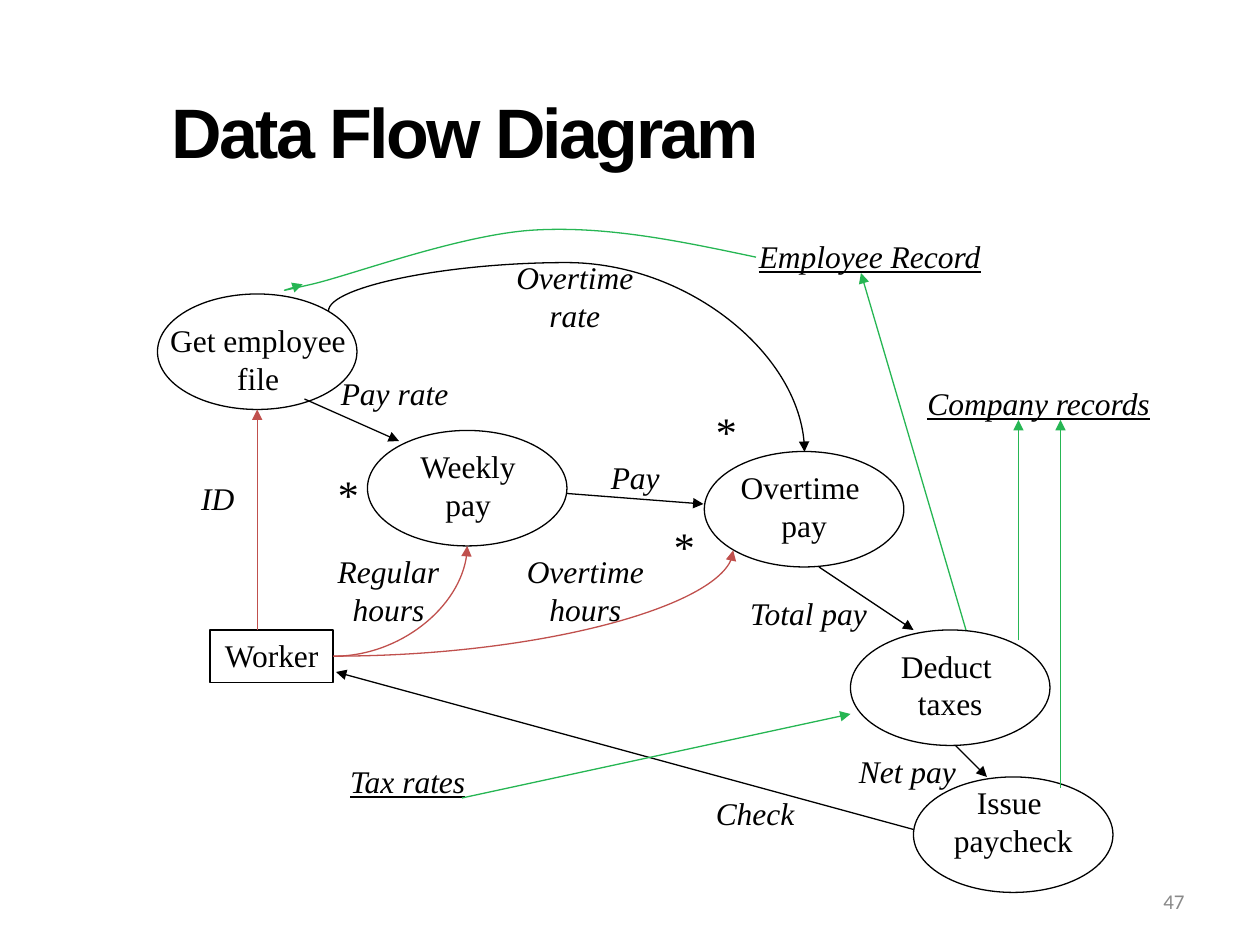
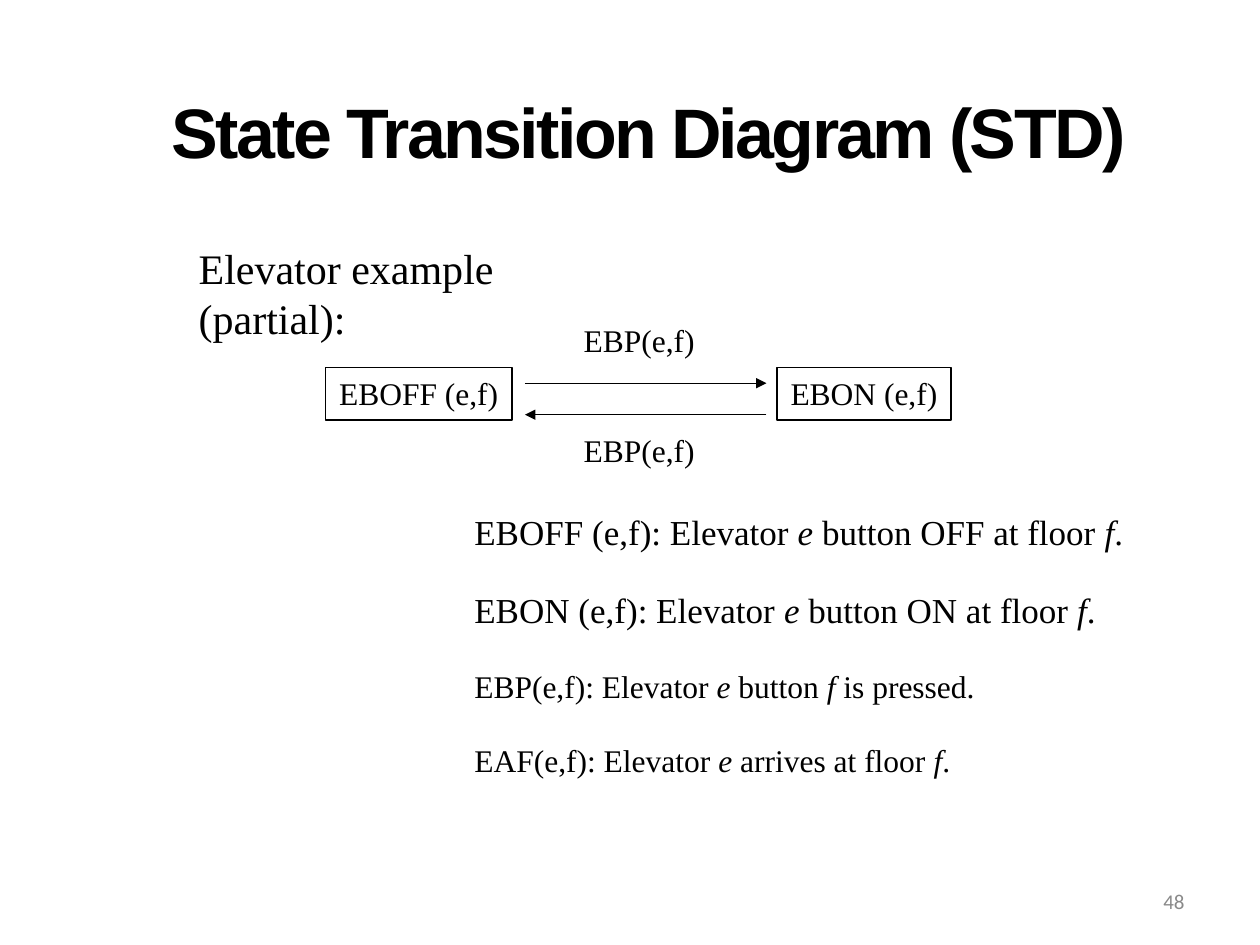
from lxml.etree import SubElement
from pptx import Presentation
from pptx.dml.color import RGBColor
from pptx.enum.shapes import MSO_CONNECTOR, MSO_SHAPE
from pptx.enum.text import MSO_ANCHOR, MSO_AUTO_SIZE, PP_ALIGN
from pptx.oxml.ns import qn
from pptx.util import Pt

BLACK, RED, GREEN, GRAY = "000000", "C0504D", "26B653", "898989"
SERIF = "Times New Roman"
LINE_HEIGHT, ONE_LINE = 21.5, 29

PROCESS_SIZE = (114, 66)
PROCESSES = [(90, 168), (210, 246), (402.5, 258), (486, 360), (522, 444)]
PROCESS_NAMES = [
    ("Get employee\nfile", 89.5, 180, 116),
    ("Weekly\npay", 231, 252, 73),
    ("Overtime \npay", 402, 264, 115),
    ("Deduct \ntaxes", 506.5, 366, 73),
    ("Issue \npaycheck", 536.5, 444, 85),
]
FLOW_NAMES = [
    ("Pay rate", 180, 210, 91),
    ("Overtime\nrate", 286.5, 144, 84),
    ("Total pay", 420, 336, 84),
    ("Pay", 340.5, 258, 45),
    ("Net pay", 482, 426, 73),
    ("ID", 106.5, 270, 36),
    ("Regular\nhours", 184.5, 312, 75),
    ("Overtime\nhours", 292.5, 312, 84),
    ("Check", 400.5, 450, 62),
]
DATA_STORES = [
    ("Employee Record", 425, 132, 144),
    ("Company records", 521, 216, 145),
    ("Tax rates", 191, 432, 84),
]
ASTERISKS = [(186, 264), (378, 294), (402, 228)]
FLOWS = [
    (BLACK, (174, 228), (228, 252)),
    (BLACK, (324, 282), (402, 288)),
    (BLACK, (468, 324), (522, 360)),
    (BLACK, (546, 426), (564, 444)),
    (BLACK, (522, 474), (192, 384)),
    (RED, (147, 360), (147, 234)),
    (GREEN, (582, 366), (582, 240)),
    (GREEN, (606, 450), (606, 240)),
    (GREEN, (552, 360), (492, 156)),
    (GREEN, (264, 456), (486, 408)),
]
WORKER_EXIT = (190.5, 375)
HOURS_ENDS = [(267, 312), (419, 314.5)]
RECORD_CURVE = [
    (432, 147), (389.5, 138), (347, 129), (305, 131.5), (263, 134),
    (200, 157.5), (178, 162.5), (156, 167.5), (164.5, 165.5), (173, 162.5),
]

STATES = [("EBOFF (e,f)", 186, 106.5), ("EBON (e,f)", 444, 99.5)]
TRANSITIONS = [
    ("EBP(e,f)", 180, (300, 219), (438, 219)),
    ("EBP(e,f)", 243, (438, 237), (300, 237)),
]
DEFINITIONS = [
    ("EBOFF (e,f): Elevator _e_ button OFF at floor _f_.", 288, 392, 20),
    ("EBON (e,f): Elevator _e_ button ON at floor _f_.", 333, 377, 20),
    ("EBP(e,f): Elevator _e_ button _f_ is pressed.", 377.5, 304, 18),
    ("EAF(e,f): Elevator _e_ arrives at floor _f_.", 420, 290, 18),
]


def color(value):
    return RGBColor.from_string(value)


def write(box, text, size=18, font=SERIF, fill=BLACK, bold=False, italic=False,
          underline=False, align=PP_ALIGN.CENTER, wrap=False, grow=True,
          anchor=MSO_ANCHOR.TOP, spacing=0):
    frame = box.text_frame
    frame.word_wrap = wrap
    frame.auto_size = MSO_AUTO_SIZE.SHAPE_TO_FIT_TEXT if grow else MSO_AUTO_SIZE.NONE
    frame.vertical_anchor = anchor
    for index, line in enumerate(text.split("\n")):
        paragraph = frame.add_paragraph() if index else frame.paragraphs[0]
        paragraph.alignment = align
        for part, words in enumerate(line.split("_")):
            span = paragraph.add_run()
            span.text = words
            span.font.name = font
            span.font.size = Pt(size)
            span.font.bold = bold
            span.font.italic = italic or part % 2 == 1
            span.font.underline = underline
            span.font.color.rgb = color(fill)
            if spacing:
                span.font._element.set("spc", str(spacing))


def add_text(page, text, left, top, width, height=None, **style):
    height = height or ONE_LINE + LINE_HEIGHT * text.count("\n")
    box = page.shapes.add_textbox(Pt(left), Pt(top), Pt(width), Pt(height))
    write(box, text, **style)


def add_outline(page, kind, left, top, width, height, weight):
    shape = page.shapes.add_shape(kind, Pt(left), Pt(top), Pt(width), Pt(height))
    shape.shadow.inherit = False
    shape.fill.background()
    shape.line.color.rgb = color(BLACK)
    shape.line.width = Pt(weight)
    return shape


def add_named_box(page, text, left, top, width):
    write(add_outline(page, MSO_SHAPE.RECTANGLE, left, top, width, 30, 1), text)


def style_arrow(shape, stroke):
    shape.line.color.rgb = color(stroke)
    shape.line.width = Pt(0.75)
    SubElement(shape.line._get_or_add_ln(), qn("a:tailEnd"), type="triangle")


def add_arrow(page, stroke, start, end, kind=MSO_CONNECTOR.STRAIGHT):
    arrow = page.shapes.add_connector(kind, *map(Pt, start + end))
    style_arrow(arrow, stroke)
    SubElement(arrow.element.spPr, qn("a:effectLst"))
    return arrow


def add_quarter_curve(page, stroke, start, end):
    arrow = add_arrow(page, stroke, start, end, MSO_CONNECTOR.CURVE)
    arrow.element.spPr.find(qn("a:prstGeom")).set("prst", "curvedConnector2")


def add_turned_curve(page, stroke, start, end, bend):
    arrow = add_arrow(page, stroke, start, end, MSO_CONNECTOR.CURVE)
    properties = arrow.element.spPr
    properties.find(qn("a:xfrm")).set("rot", str(90 * 60000))
    geometry = properties.find(qn("a:prstGeom"))
    adjustments = geometry.find(qn("a:avLst"))
    if adjustments is None:
        adjustments = SubElement(geometry, qn("a:avLst"))
    SubElement(adjustments, qn("a:gd"), name="adj1", fmla=f"val {bend}")


def add_smooth_arrow(page, stroke, points):
    start, *controls = [(Pt(x), Pt(y)) for x, y in points]
    builder = page.shapes.build_freeform(*start)
    builder.add_line_segments(controls, close=False)
    shape = builder.convert_to_shape()
    shape.shadow.inherit = False
    shape.fill.background()
    style_arrow(shape, stroke)
    outline = next(shape.element.iter(qn("a:path")))
    segments = outline.findall(qn("a:lnTo"))
    for first in range(0, len(segments), 3):
        curve = SubElement(outline, qn("a:cubicBezTo"))
        for segment in segments[first:first + 3]:
            curve.append(segment[0])
            outline.remove(segment)


def add_page(deck, title, number):
    page = deck.slides.add_slide(deck.slide_layouts[6])
    add_text(page, title, 91, 17, 613.5, 115, size=40, font="Arial", bold=True,
             align=PP_ALIGN.LEFT, wrap=True, grow=False, anchor=MSO_ANCHOR.MIDDLE,
             spacing=-150)
    add_text(page, number, 516, 500.5, 168, 28.5, size=12, font="Calibri", fill=GRAY,
             align=PP_ALIGN.RIGHT, wrap=True, grow=False, anchor=MSO_ANCHOR.MIDDLE)
    return page


def build_data_flow(deck):
    page = add_page(deck, "Data Flow Diagram", "47")
    for left, top in PROCESSES:
        add_outline(page, MSO_SHAPE.OVAL, left, top, *PROCESS_SIZE, 0.75)
    add_named_box(page, "Worker", 120, 360, 70.5)
    for name in PROCESS_NAMES:
        add_text(page, *name)
    for name in FLOW_NAMES:
        add_text(page, *name, italic=True)
    for name in DATA_STORES:
        add_text(page, *name, italic=True, underline=True)
    for left, top in ASTERISKS:
        add_text(page, "*", left, top, 27, 36, size=24, align=PP_ALIGN.LEFT)
    for flow in FLOWS:
        add_arrow(page, *flow)
    for end in HOURS_ENDS:
        add_quarter_curve(page, RED, WORKER_EXIT, end)
    add_turned_curve(page, BLACK, (283.5, 354), (364, 82), -34400)
    add_smooth_arrow(page, GREEN, RECORD_CURVE)


def build_state_transition(deck):
    page = add_page(deck, "State Transition Diagram (STD)", "48")
    add_text(page, "Elevator example (partial):", 106.5, 135, 266, 65, size=24,
             align=PP_ALIGN.LEFT, wrap=True)
    for text, left, width in STATES:
        add_named_box(page, text, left, 210, width)
    for text, top, start, end in TRANSITIONS:
        add_text(page, text, 326.5, top, 80, align=PP_ALIGN.LEFT)
        add_arrow(page, BLACK, start, end)
    for text, top, width, size in DEFINITIONS:
        add_text(page, text, 264, top, width, size=size, align=PP_ALIGN.LEFT)


def main():
    deck = Presentation()
    deck.slide_width, deck.slide_height = Pt(720), Pt(540)
    build_data_flow(deck)
    build_state_transition(deck)
    deck.save("out.pptx")


if __name__ == "__main__":
    main()
